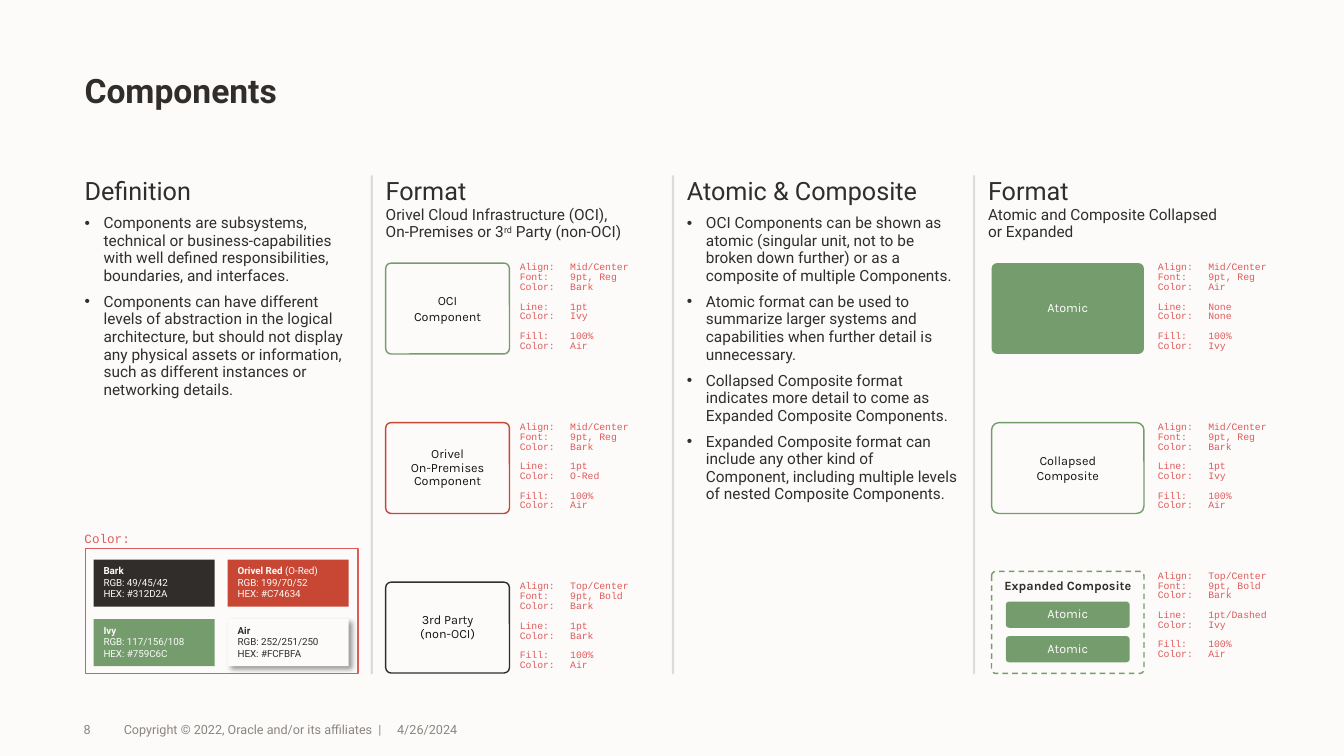
from copy import deepcopy

from lxml import etree
from pptx import Presentation
from pptx import util as u
from pptx.dml import color as dml
from pptx.enum import dml as lines, shapes, text
from pptx.oxml import ns

BARK, IVY, RED, AIR = "312D2A", "759C6C", "C74634", "FCFBFA"
INK, CORAL, STONE = "161513", "DE5B5B", "8B8580"
CENTER, LEFT = text.PP_ALIGN.CENTER, text.PP_ALIGN.LEFT
TOP, MIDDLE, BOTTOM = text.MSO_ANCHOR.TOP, text.MSO_ANCHOR.MIDDLE, text.MSO_ANCHOR.BOTTOM
COLUMN_LEFT, COLUMN_STEP, COLUMN_TOP = 2.13, 7.59, 4.47
ROW_TOP, ROW_STEP = 6.63, 4.02


def rgb(code):
    return dml.RGBColor.from_string(code)


def child(parent, tag, **attributes):
    return etree.SubElement(parent, ns.qn(tag), attributes)


def write(frame, wording, size=9, color=BARK, font="Roboto", bold=False, align=LEFT,
          leading=1.0, before=0, bullet=False, tab=None, joined=False, raised=False):
    first = not frame.text
    paragraph = frame.paragraphs[-1] if first or joined else frame.add_paragraph()
    if not joined:
        paragraph.alignment = align
        paragraph.line_spacing = leading
        paragraph.space_before = u.Pt(0 if first else before)
        properties = paragraph._p.get_or_add_pPr()
        indent = u.Cm(0.48) if bullet else 0
        properties.set("marL", str(indent))
        properties.set("indent", str(-indent))
        if bullet:
            child(properties, "a:buFont", typeface="Arial")
            child(properties, "a:buChar", char="•")
        else:
            child(properties, "a:buNone")
        if tab:
            child(child(properties, "a:tabLst"), "a:tab", pos=str(u.Cm(tab)), algn="l")
    for number, piece in enumerate(wording.split("\n")):
        if number:
            paragraph.add_line_break()
            paragraph._p[-1].insert(0, deepcopy(run._r.get_or_add_rPr()))
        if piece:
            run = paragraph.add_run()
            run.text = piece
            run.font.size, run.font.name, run.font.bold = u.Pt(size), font, bold
            run.font.color.rgb = rgb(color)
            if raised:
                run._r.get_or_add_rPr().set("baseline", "30000")


class ComponentSlide:
    """Holds the style and the current slide, and adds its elements in centimetres."""

    def __init__(self, deck):
        self.slide = deck.slides.add_slide(deck.slide_layouts[4])
        self.slide.background.fill.solid()
        self.slide.background.fill.fore_color.rgb = rgb(AIR)
        self.bodies = list(self.slide.placeholders)[1:]

    def frame(self, holder, anchor=TOP, insets=(0, 0, 0, 0)):
        frame = holder.text_frame
        frame.word_wrap = True
        frame.auto_size = text.MSO_AUTO_SIZE.NONE
        frame.vertical_anchor = anchor
        (frame.margin_left, frame.margin_top,
         frame.margin_right, frame.margin_bottom) = map(u.Cm, insets)
        return frame

    def place(self, holder, left, top, width, height):
        holder.left, holder.top = u.Cm(left), u.Cm(top)
        holder.width, holder.height = u.Cm(width), u.Cm(height)

    def title(self, wording):
        holder = self.slide.shapes.title
        self.place(holder, COLUMN_LEFT, 0.51, 29.64, 2.29)
        write(self.frame(holder, BOTTOM), wording, size=24, bold=True, leading=0.95)

    def column(self, number, heading, points=(), subtitle=()):
        holder = self.bodies[number]
        self.place(holder, COLUMN_LEFT + number * COLUMN_STEP, COLUMN_TOP, 6.88, 12.57)
        frame = self.frame(holder)
        write(frame, heading, size=18, leading=0.95)
        for wording, raised in subtitle:
            write(frame, wording, size=11, joined=True, raised=raised)
        for point in points:
            write(frame, point, size=11, leading=0.95, before=6, bullet=True)

    def divider(self, left):
        rule = self.slide.shapes.add_connector(
            shapes.MSO_CONNECTOR.STRAIGHT, u.Cm(left), u.Cm(4.42), u.Cm(left), u.Cm(16.99))
        rule.line.width = u.Pt(1.5)
        rule.line.color.rgb = rgb(STONE)
        tint = rule._element.spPr.find(".//" + ns.qn("a:srgbClr"))
        child(tint, "a:alpha", val="25000")
        child(rule._element.spPr, "a:effectLst")

    def label(self, wording, left, top, width, height, anchor=TOP, **style):
        box = self.slide.shapes.add_textbox(u.Cm(left), u.Cm(top), u.Cm(width), u.Cm(height))
        write(self.frame(box, anchor), wording, **style)

    def box(self, left, top, width, height, fill=None, line=None, radius=None, dashed=False):
        kind = shapes.MSO_SHAPE.ROUNDED_RECTANGLE if radius else shapes.MSO_SHAPE.RECTANGLE
        box = self.slide.shapes.add_shape(kind, u.Cm(left), u.Cm(top), u.Cm(width), u.Cm(height))
        box.shadow.inherit = False
        if radius:
            box.adjustments[0] = radius
        if fill:
            box.fill.solid()
            box.fill.fore_color.rgb = rgb(fill)
        else:
            box.fill.background()
        if line:
            box.line.color.rgb = rgb(line)
            box.line.width = u.Pt(1)
            if dashed:
                box.line.dash_style = lines.MSO_LINE.DASH
        else:
            box.line.fill.background()
        return box

    def card(self, paragraphs, left, top, width, height=2.29, fill=AIR, line=None, radius=0.06,
             dashed=False, anchor=MIDDLE, color=INK, bold=False, leading=1.0):
        box = self.box(left, top, width, height, fill, line, radius, dashed)
        frame = self.frame(box, anchor, (0, 0.13, 0, 0.13) if height > 1 else (0, 0, 0, 0))
        for wording in paragraphs:
            write(frame, wording, color=color, font="Karla", bold=bold,
                  align=CENTER, leading=leading)

    def annotate(self, left, top, values):
        box = self.slide.shapes.add_textbox(u.Cm(left), u.Cm(top), u.Cm(4), u.Cm(2.24))
        frame = self.frame(box, insets=(0.25, 0, 0, 0))
        names = ("Align", "Font", "Color", "Line", "Color", "Fill", "Color")
        for name, value in zip(names, values):
            write(frame, f"{name}:\t{value}", size=7, color=CORAL, font="Courier New",
                  leading=u.Pt(7), before=7 if name in ("Line", "Fill") else 0, tab=1.48)

    def swatch(self, column, row, name, values, fill, color=AIR, suffix="", raised=False):
        box = self.box(2.36 + column * 3.38, 14.1 + row * 1.5, 3.05, 1.19, fill)
        if raised:
            effects = box._element.spPr.find(ns.qn("a:effectLst"))
            shade = child(effects, "a:outerShdw", blurRad=str(u.Pt(4)), dist=str(u.Pt(3)),
                          dir="2700000", algn="tl", rotWithShape="0")
            child(child(shade, "a:srgbClr", val="000000"), "a:alpha", val="40000")
        frame = self.frame(box, insets=(0.25, 0.13, 0.25, 0.13))
        write(frame, name, size=7, color=color, bold=True)
        if suffix:
            write(frame, suffix, size=7, color=color, joined=True)
        for wording in (f"RGB: {values}", f"HEX: #{fill}"):
            write(frame, wording, size=7, color=color)


def main():
    deck = Presentation()
    deck.slide_width, deck.slide_height = u.Cm(33.87), u.Cm(19.05)
    page = ComponentSlide(deck)
    for gap in range(3):
        page.divider(9.37 + gap * COLUMN_STEP)
    page.title("Components")

    page.column(0, "Definition", points=(
        "Components are subsystems, technical or business-capabilities with well defined "
        "responsibilities, boundaries, and interfaces.",
        "Components can have different levels of abstraction in the logical architecture, but "
        "should not display any physical assets or information, such as different instances "
        "or networking details."))
    page.column(1, "Format\n", subtitle=(
        ("Orivel Cloud Infrastructure (OCI),\nOn-Premises or 3", False),
        ("rd", True), (" Party (non-OCI)", False)))
    page.column(2, "Atomic & Composite", points=(
        "OCI Components can be shown as atomic (singular unit, not to be broken down further) "
        "or as a composite of multiple Components.",
        "Atomic format can be used to summarize larger systems and capabilities when further "
        "detail is unnecessary.",
        "Collapsed Composite format indicates more detail to come as Expanded Composite "
        "Components.",
        "Expanded Composite format can include any other kind of Component, including multiple "
        "levels of nested Composite Components."))
    page.column(3, "Format\n", subtitle=(("Atomic and Composite Collapsed\nor Expanded", False),))

    footer = (("8", 2.11, 1.02), ("Copyright © 2022, Oracle and/or its affiliates  |", 3.12, 6.88),
              ("4/26/2024", 10.01, 7.62))
    for wording, left, width in footer:
        page.label(wording, left, 17.86, width, 1.02, anchor=MIDDLE, color=STONE)

    regular, heavy = ("Mid/Center", "9pt, Reg"), ("Top/Center", "9pt, Bold")
    origins = (
        (("OCI", "Component"), IVY, 1.0, (*regular, "Bark", "1pt", "Ivy", "100%", "Air")),
        (("Orivel\nOn-Premises", "Component"), RED, 0.9,
         (*regular, "Bark", "1pt", "O-Red", "100%", "Air")),
        (("3rd Party", "(non-OCI)"), BARK, 0.9, (*heavy, "Bark", "1pt", "Bark", "100%", "Air")))
    for row, (wording, line, leading, values) in enumerate(origins):
        top = ROW_TOP + row * ROW_STEP
        page.card(wording, COLUMN_LEFT + COLUMN_STEP, top, 3.12, line=line, leading=leading)
        page.annotate(12.85, top, values)

    composites = (
        ("Atomic", ROW_TOP, dict(fill=IVY, color=AIR, leading=0.9),
         (*regular, "Air", "None", "None", "100%", "Ivy")),
        ("Collapsed\nComposite", ROW_TOP + ROW_STEP, dict(line=IVY, radius=0.08),
         (*regular, "Bark", "1pt", "Ivy", "100%", "Air")),
        ("Expanded Composite", 14.4,
         dict(line=IVY, radius=0.04, height=2.57, dashed=True, anchor=TOP, color=BARK, bold=True),
         (*heavy, "Bark", "1pt/Dashed", "Ivy", "100%", "Air")))
    for wording, top, style, values in composites:
        page.card((wording,), 24.99, top, 3.84, **style)
        page.annotate(28.93, top, values)
    for nested_top in (15.16, 16.03):
        page.card(("Atomic",), 25.35, nested_top, 3.12, 0.66, fill=IVY, color=AIR,
                  radius=0.13, leading=0.9)

    page.label("Color:", COLUMN_LEFT, 13.36, 3.99, 0.38, color=CORAL, font="Courier New",
               leading=u.Pt(11))
    page.swatch(0, 0, "Bark", "49/45/42", BARK)
    page.swatch(1, 0, "Orivel Red ", "199/70/52", RED, suffix="(O-Red)")
    page.swatch(0, 1, "Ivy", "117/156/108", IVY)
    page.swatch(1, 1, "Air", "252/251/250", AIR, color=BARK, raised=True)
    page.box(2.16, 13.82, 6.86, 3.15, line=CORAL)
    deck.save("out.pptx")


if __name__ == "__main__":
    main()
